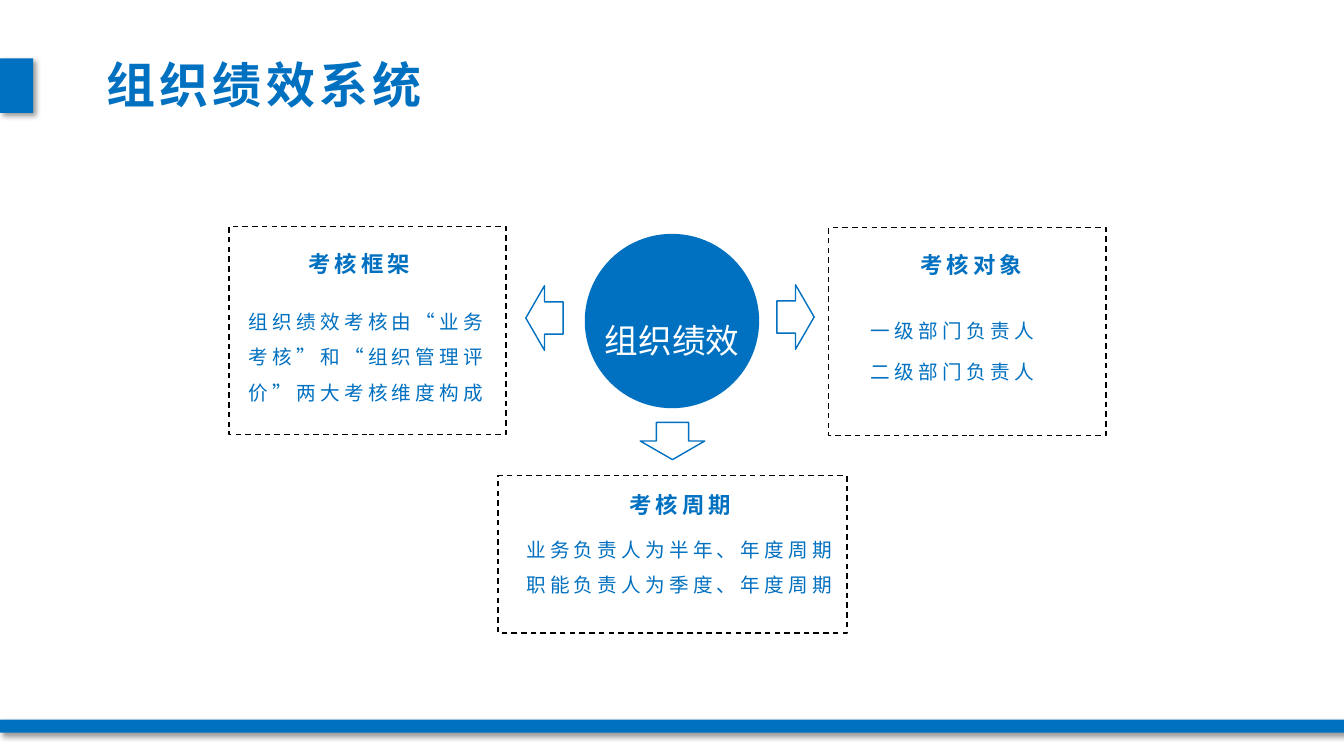
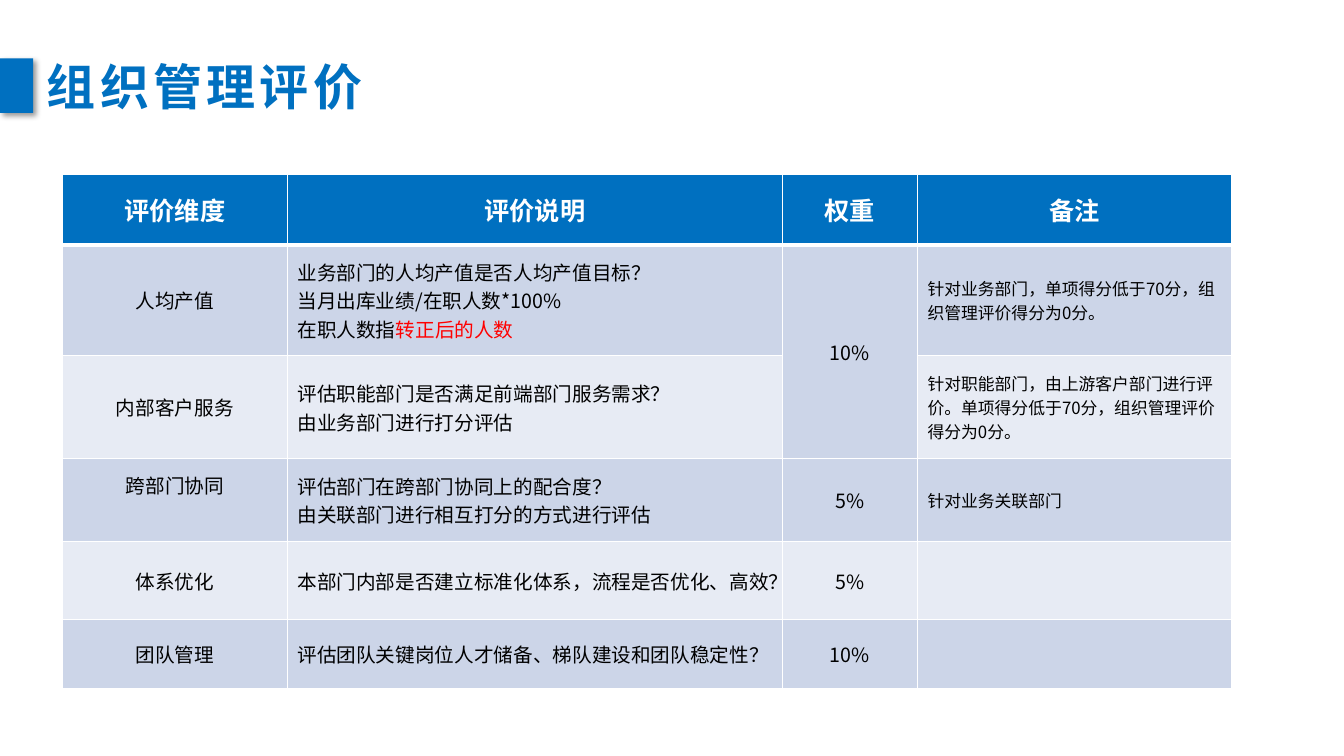
from pptx import Presentation
from pptx.dml.color import RGBColor
from pptx.enum.dml import MSO_LINE
from pptx.enum.shapes import MSO_SHAPE as Shape
from pptx.enum.text import MSO_ANCHOR as Anchor, MSO_AUTO_SIZE as AutoSize, PP_ALIGN as Align
from pptx.oxml import parse_xml
from pptx.oxml.ns import nsdecls, qn
from pptx.oxml.xmlchemy import OxmlElement
from pptx.util import Inches, Pt

COLORS = {"blue": "0070C0", "white": "FFFFFF", "black": "000000", "red": "FF0000",
          "odd": "CCD5E8", "even": "E7EBF4"}
LATO, NOTO = "Lato", "Noto Sans CJK SC"
CELL = Inches(0.1)
TITLE_ONLY = 5


class Board:
    """Hold the style, the deck and the current slide; lengths are cells of a 0.1 inch grid."""

    def __init__(self):
        self.deck = Presentation()
        self.deck.slide_width, self.deck.slide_height = Inches(13.33), Inches(7.5)
        self.page = None

    def color(self, name):
        return RGBColor.from_string(COLORS[name])

    def grid(self, *cells):
        return [round(cell * CELL) for cell in cells]

    def new_page(self, title, left, top):
        self.page = self.deck.slides.add_slide(self.deck.slide_layouts[TITLE_ONLY])
        holder = self.page.shapes.title
        holder.left, holder.top, holder.width, holder.height = self.grid(left, top, 34, 6.9)
        frame = holder.text_frame
        frame.word_wrap, frame.auto_size = False, AutoSize.NONE
        frame.vertical_anchor = Anchor.TOP
        para = frame.paragraphs[0]
        para.alignment = Align.CENTER
        self.span(para, title, 35, "blue", bold=True, face=LATO, spacing=3)
        self.band(0, 5.8, 3.3, 5.4)

    def span(self, para, text, size, color, bold=False, face=NOTO, spacing=0):
        run = para.add_run()
        run.text = text
        font = run.font
        font.size, font.bold, font.name = Pt(size), bold, face
        font.color.rgb = self.color(color)
        props = run._r.get_or_add_rPr()
        props.set("lang", "zh-CN")
        if spacing:
            props.set("spc", str(spacing * 100))
        east = OxmlElement("a:ea")
        east.set("typeface", face)
        props.find(qn("a:latin")).addnext(east)

    def shape(self, kind, at, fill, line=None, dash=False, turn=0):
        shape = self.page.shapes.add_shape(kind, *self.grid(*at))
        shape.shadow.inherit = False
        shape.fill.solid()
        shape.fill.fore_color.rgb = self.color(fill)
        shape.rotation = turn
        if line:
            shape.line.color.rgb = self.color(line)
            shape.line.width = Pt(1)
            if dash:
                shape.line.dash_style = MSO_LINE.DASH
        else:
            shape.line.fill.background()
        return shape

    def band(self, *at):
        band = self.shape(Shape.RECTANGLE, at, "blue")
        band._element.spPr.find(qn("a:effectLst")).append(parse_xml(
            f'<a:outerShdw {nsdecls("a")} blurRad="{Pt(4)}" dist="{Pt(3)}" dir="2700000" '
            'algn="tl" rotWithShape="0"><a:srgbClr val="000000"><a:alpha val="40000"/>'
            '</a:srgbClr></a:outerShdw>'))

    def text(self, at, lines, size, color="blue", bold=False, align=Align.LEFT,
             leading=1.5, gap=0, spacing=3):
        box = self.page.shapes.add_textbox(*self.grid(*at))
        frame = box.text_frame
        frame.word_wrap = True
        for index, line in enumerate(lines):
            para = frame.add_paragraph() if index else frame.paragraphs[0]
            para.alignment, para.line_spacing = align, leading
            if index:
                para.space_before = Pt(gap)
            self.span(para, line, size, color, bold, spacing=spacing)

    def panel(self, at, heading_at, heading, body_at, body, align=Align.LEFT, gap=0):
        self.shape(Shape.RECTANGLE, at, "white", "black", dash=True)
        self.text(heading_at, [heading], 16, bold=True, align=align)
        self.text(body_at, body, 14, gap=gap)

    def border(self, cell, side, width):
        cell._tc.get_or_add_tcPr().append(parse_xml(
            f'<a:ln{side} {nsdecls("a")} w="{Pt(width)}"><a:solidFill>'
            f'<a:srgbClr val="{COLORS["white"]}"/></a:solidFill></a:ln{side}>'))

    def cell(self, cell, row, lines, size, color, align):
        thick = {(0, "B"), (1, "T")}
        for side in "LRTB":
            self.border(cell, side, 3 if (row, side) in thick else 1)
        cell.fill.solid()
        cell.fill.fore_color.rgb = self.color("blue" if row == 0 else "odd" if row % 2 else "even")
        cell.vertical_anchor = Anchor.MIDDLE
        for index, line in enumerate(lines):
            frame = cell.text_frame
            para = frame.add_paragraph() if index else frame.paragraphs[0]
            para.alignment = align
            for part in line if isinstance(line, tuple) else (line,):
                red = isinstance(line, tuple) and part == line[-1]
                self.span(para, part, size, "red" if red else color, bold=row == 0)

    def table(self, left, top, columns, heights, rows):
        frame = self.page.shapes.add_table(
            len(rows), len(columns), *self.grid(left, top, sum(columns), sum(heights)))
        table = frame.table
        for column, width in zip(table.columns, self.grid(*columns)):
            column.width = width
        for row, height in zip(table.rows, self.grid(*heights)):
            row.height = height
        sizes = (14, 14, 14, 12)
        for r, row in enumerate(rows):
            for c, lines in enumerate(row):
                centred = r == 0 or c in (0, 2)
                self.cell(table.cell(r, c), r, lines, sizes[c] if r else 18,
                          "black" if r else "white", Align.CENTER if centred else Align.LEFT)
        return table


def performance_system(board):
    board.new_page("组织绩效系统", 9.2, 4.9)
    board.band(0, 71.4, 133.3, 1.3)
    board.shape(Shape.OVAL, (58, 23.2, 17.3, 17.3), "blue")
    board.text((59, 23.2, 39.8, 10.9), ["组织绩效"], 24, "white", leading=3, spacing=0)
    board.panel((22.7, 22.5, 27.5, 20.6), (29.6, 23, 14.6, 4.6), "考核框架",
                (23.7, 29.1, 26.4, 11.2),
                ["组织绩效考核由“业务考核”和“组织管理评价”两大考核维度构成"])
    board.panel((82.2, 22.6, 27.5, 20.6), (90.3, 23.1, 14.6, 4.6), "考核对象",
                (85.4, 30, 22.2, 8.1), ["一级部门负责人", "二级部门负责人"], gap=3.8)
    board.panel((49.4, 47.2, 34.6, 15.6), (60.9, 46.9, 13.1, 4.6), "考核周期",
                (51.2, 51.7, 32.8, 7.7),
                ["业务负责人为半年、年度周期", "职能负责人为季度、年度周期"], Align.CENTER)
    for left, top, turn in ((63.5, 41.9, 0), (75.7, 29.6, 270), (50.8, 29.7, 90)):
        board.shape(Shape.DOWN_ARROW, (left, top, 6.4, 3.7), "white", "blue", turn=turn)


def management_review(board):
    board.new_page("组织管理评价", 3.3, 5.1)
    rows = [
        (["评价维度"], ["评价说明"], ["权重"], ["备注"]),
        (["人均产值"],
         ["业务部门的人均产值是否人均产值目标？", "当月出库业绩/在职人数*100%",
          ("在职人数指", "转正后的人数")],
         ["10%"], ["针对业务部门，单项得分低于70分，组织管理评价得分为0分。"]),
        (["内部客户服务"],
         ["评估职能部门是否满足前端部门服务需求？", "由业务部门进行打分评估"],
         [], ["针对职能部门，由上游客户部门进行评价。单项得分低于70分，组织管理评价得分为0分。"]),
        (["跨部门协同"],
         ["评估部门在跨部门协同上的配合度？", "由关联部门进行相互打分的方式进行评估"],
         ["5%"], ["针对业务关联部门"]),
        (["体系优化"], ["本部门内部是否建立标准化体系，流程是否优化、高效？"], ["5%"], []),
        (["团队管理"], ["评估团队关键岗位人才储备、梯队建设和团队稳定性？"], ["10%"], []),
    ]
    table = board.table(6.2, 17.3, (22.3, 49.1, 13.4, 31.2), (7, 11, 10.2, 8.2, 7.8, 6.8), rows)
    table.cell(1, 2).merge(table.cell(2, 2))
    table.cell(3, 0).margin_bottom = Inches(0.34)


def main():
    board = Board()
    performance_system(board)
    management_review(board)
    board.deck.save("out.pptx")


if __name__ == "__main__":
    main()
